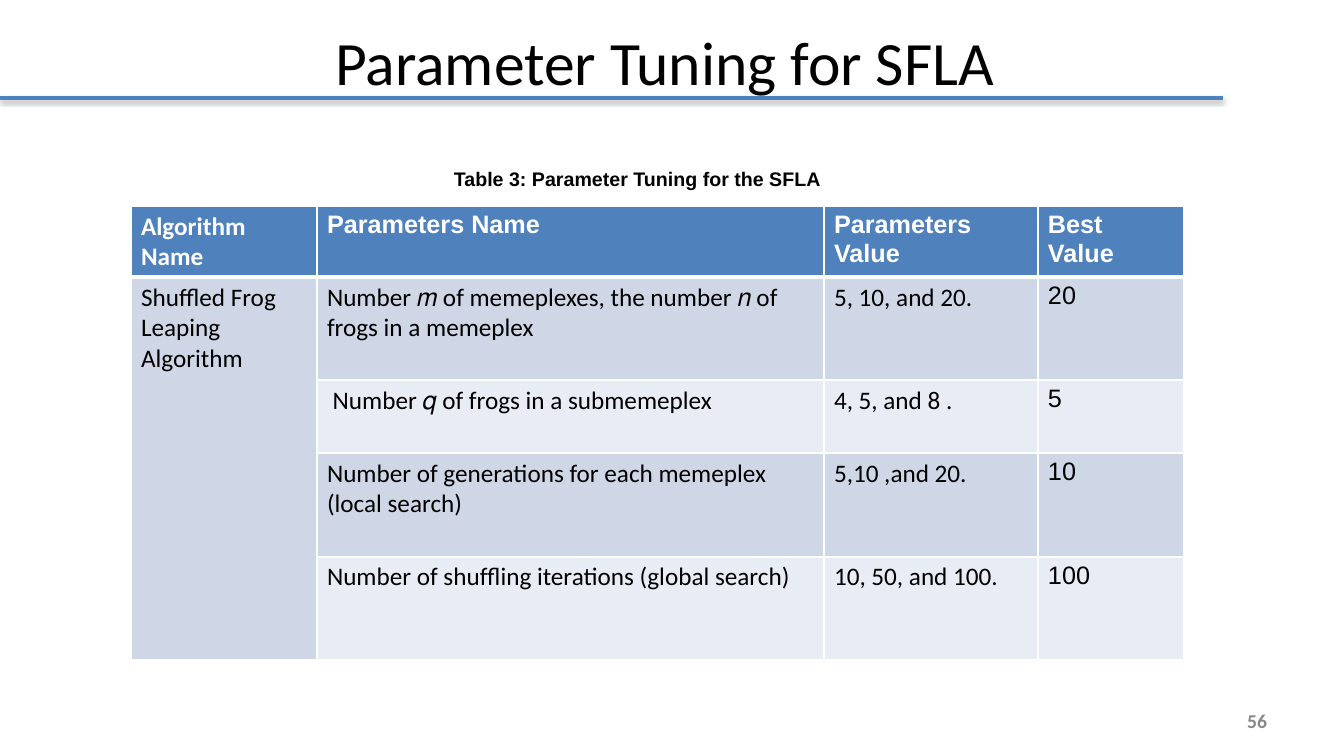
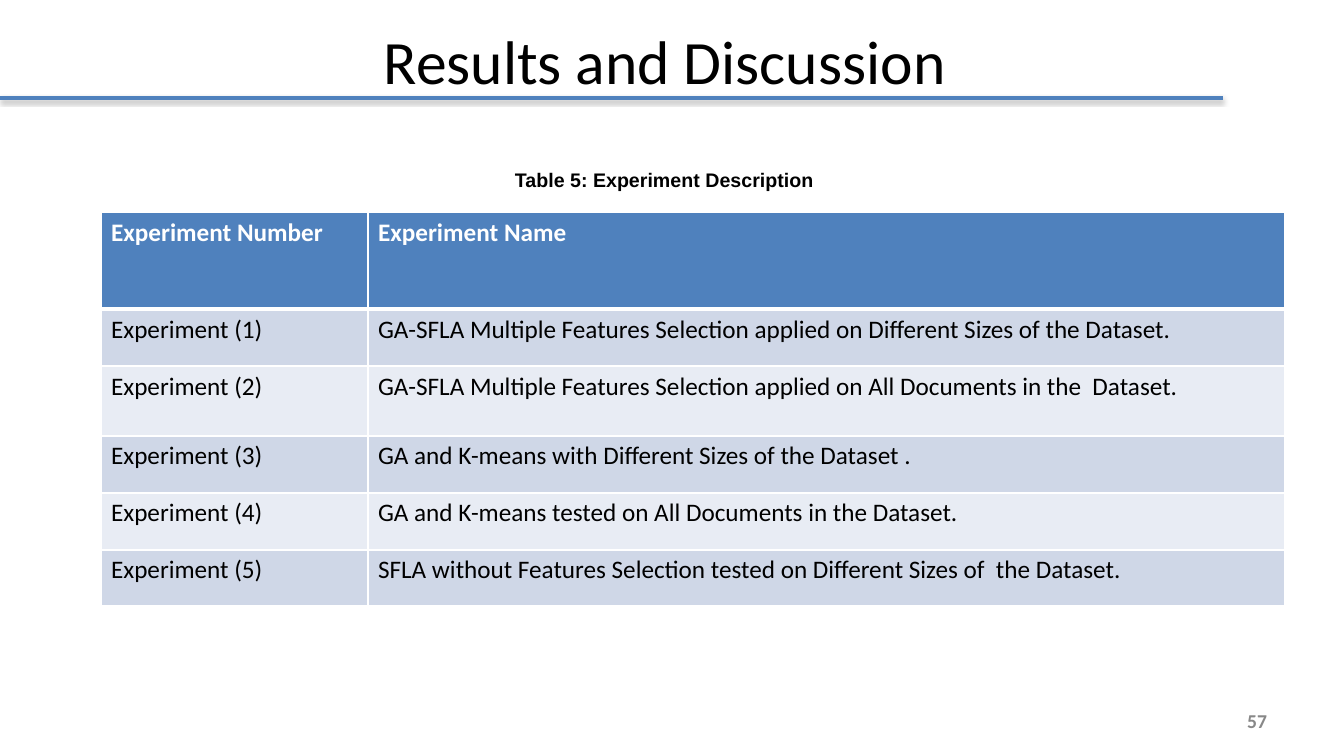
"""Build two slides, each with a ruled title, a captioned table and a page number."""
from lxml import etree
from pptx import Presentation
from pptx.dml.color import RGBColor
from pptx.enum.shapes import MSO_CONNECTOR
from pptx.enum.text import MSO_ANCHOR, MSO_AUTO_SIZE, PP_ALIGN
from pptx.oxml.ns import qn
from pptx.util import Emu, Pt

LEFT, CENTER, RIGHT = PP_ALIGN.LEFT, PP_ALIGN.CENTER, PP_ALIGN.RIGHT
TOP, MIDDLE = MSO_ANCHOR.TOP, MSO_ANCHOR.MIDDLE
STRAIGHT = MSO_CONNECTOR.STRAIGHT
NO_AUTOFIT = MSO_AUTO_SIZE.NONE

BLACK = RGBColor(0x00, 0x00, 0x00)
WHITE = RGBColor(0xFF, 0xFF, 0xFF)
GREY = RGBColor(0x88, 0x88, 0x88)
BLUE = RGBColor(0x4F, 0x81, 0xBD)
BANDS = (RGBColor(0xCF, 0xD7, 0xE7), RGBColor(0xE8, 0xEC, 0xF4))
BODY_FONT, ACCENT_FONT = "Calibri", "Arial"

SLIDES = [
    {
        "title": "Parameter Tuning for SFLA",
        "title_top": -2,
        "page": "56",
        "caption": "Table 3: Parameter Tuning for the SFLA",
        "caption_box": (444, 162, 409, 34),
        "table_corner": (131, 206),
        "columns": (186, 507, 214, 146),
        "row_heights": (71, 103, 73, 104, 103),
        "rows": [
            ("Algorithm  Name", "Parameters Name", "Parameters Value", "Best Value"),
            ("Shuffled Frog Leaping Algorithm",
             "Number 𝑚 of memeplexes, the number 𝑛 of frogs in a memeplex",
             "5, 10, and 20.", "20"),
            ("", " Number 𝑞 of frogs in a submemeplex", "4, 5, and 8 .", "5"),
            ("", "Number of generations for each memeplex (local search)",
             "5,10 ,and 20.", "10"),
            ("", "Number of shufﬂing iterations (global search)",
             "10, 50, and 100.", "100"),
        ],
        "accent_cells": {(0, 1), (0, 2), (0, 3), (1, 3), (2, 3), (3, 3), (4, 3)},
        "merge": ((1, 0), (4, 0)),
    },
    {
        "title": "Results and Discussion",
        "title_top": -3,
        "page": "57",
        "caption": "Table 5: Experiment Description",
        "caption_box": (505, 163, 346, 34),
        "table_corner": (101, 212),
        "columns": (267, 917),
        "row_heights": (97, 57, 70, 57, 57, 56),
        "rows": [
            ("Experiment Number", "Experiment Name"),
            ("Experiment (1)", "GA-SFLA Multiple Features Selection applied on "
                               "Different Sizes of the Dataset."),
            ("Experiment (2)", "GA-SFLA Multiple Features Selection applied on "
                               "All Documents in the  Dataset."),
            ("Experiment (3)", "GA and K-means with Different Sizes of the Dataset ."),
            ("Experiment (4)", "GA and K-means tested on All Documents in the Dataset."),
            ("Experiment (5)", "SFLA without Features Selection tested on "
                               "Different Sizes of  the Dataset."),
        ],
        "accent_cells": set(),
        "merge": None,
    },
]


def px(*lengths):
    """Turn pixels into EMU."""
    return [Emu(round(length * 914400 / 100.8)) for length in lengths]


def write(frame, text, size=18, font=BODY_FONT, color=BLACK, bold=False,
          align=LEFT, anchor=TOP):
    """Put one formatted paragraph into a text frame."""
    frame.word_wrap = True
    frame.vertical_anchor = anchor
    paragraph = frame.paragraphs[0]
    paragraph.alignment = align
    run = paragraph.add_run()
    run.text = text
    run.font.size = Pt(size)
    run.font.name = font
    run.font.bold = bold
    run.font.color.rgb = color


def add_title(slide, text, top):
    """Place the slide title above its rule."""
    title = slide.shapes.title
    title.left, title.top, title.width, title.height = px(60, top, 1210, 126)
    title.text_frame.auto_size = NO_AUTOFIT
    write(title.text_frame, text, size=44, align=CENTER, anchor=MIDDLE)


def add_rule(slide):
    """Draw the blue rule with its soft shadow."""
    rule = slide.shapes.add_connector(STRAIGHT, *px(0, 98, 1223, 98))
    rule.line.color.rgb = BLUE
    rule.line.width = Pt(3)
    effects = etree.SubElement(rule._element.spPr, qn("a:effectLst"))
    shadow = etree.SubElement(effects, qn("a:outerShdw"), blurRad="39400",
                              dist="22900", dir="5400000", rotWithShape="0")
    tint = etree.SubElement(shadow, qn("a:srgbClr"), val=str(BLACK))
    etree.SubElement(tint, qn("a:alpha"), val="35000")


def add_text(slide, box, text, **style):
    """Add a text box with one styled paragraph."""
    write(slide.shapes.add_textbox(*px(*box)).text_frame, text, **style)


def set_borders(cell, top, bottom):
    """Give a cell white borders, with top and bottom widths in points."""
    properties = cell._tc.get_or_add_tcPr()
    for side, width in (("L", 1), ("R", 1), ("T", top), ("B", bottom)):
        border = etree.SubElement(properties, qn(f"a:ln{side}"), w=str(Pt(width)))
        fill = etree.SubElement(border, qn("a:solidFill"))
        etree.SubElement(fill, qn("a:srgbClr"), val=str(WHITE))


def add_grid(slide, content):
    """Add the table with a blue header and alternating bands."""
    rows, columns, heights = (content[key] for key in ("rows", "columns", "row_heights"))
    box = px(*content["table_corner"], sum(columns), sum(heights))
    table = slide.shapes.add_table(len(rows), len(columns), *box).table
    for column, width in zip(table.columns, px(*columns)):
        column.width = width
    for row, height in zip(table.rows, px(*heights)):
        row.height = height
    for r, texts in enumerate(rows):
        header = r == 0
        for c, text in enumerate(texts):
            cell = table.cell(r, c)
            set_borders(cell, top=3 if r == 1 else 1, bottom=3 if header else 1)
            cell.fill.solid()
            cell.fill.fore_color.rgb = BLUE if header else BANDS[(r - 1) % 2]
            if text:
                write(cell.text_frame, text, bold=header,
                      color=WHITE if header else BLACK,
                      font=ACCENT_FONT if (r, c) in content["accent_cells"] else BODY_FONT)
    if content["merge"]:
        first, last = content["merge"]
        table.cell(*first).merge(table.cell(*last))


deck = Presentation()
deck.slide_width, deck.slide_height = px(1344, 756)
for content in SLIDES:
    slide = deck.slides.add_slide(deck.slide_layouts[5])
    add_title(slide, content["title"], content["title_top"])
    add_text(slide, (964, 701, 313, 40), content["page"], size=14, color=GREY,
             bold=True, align=RIGHT, anchor=MIDDLE)
    add_rule(slide)
    add_grid(slide, content)
    add_text(slide, content["caption_box"], content["caption"], size=14,
             font=ACCENT_FONT, bold=True)
deck.save("out.pptx")
